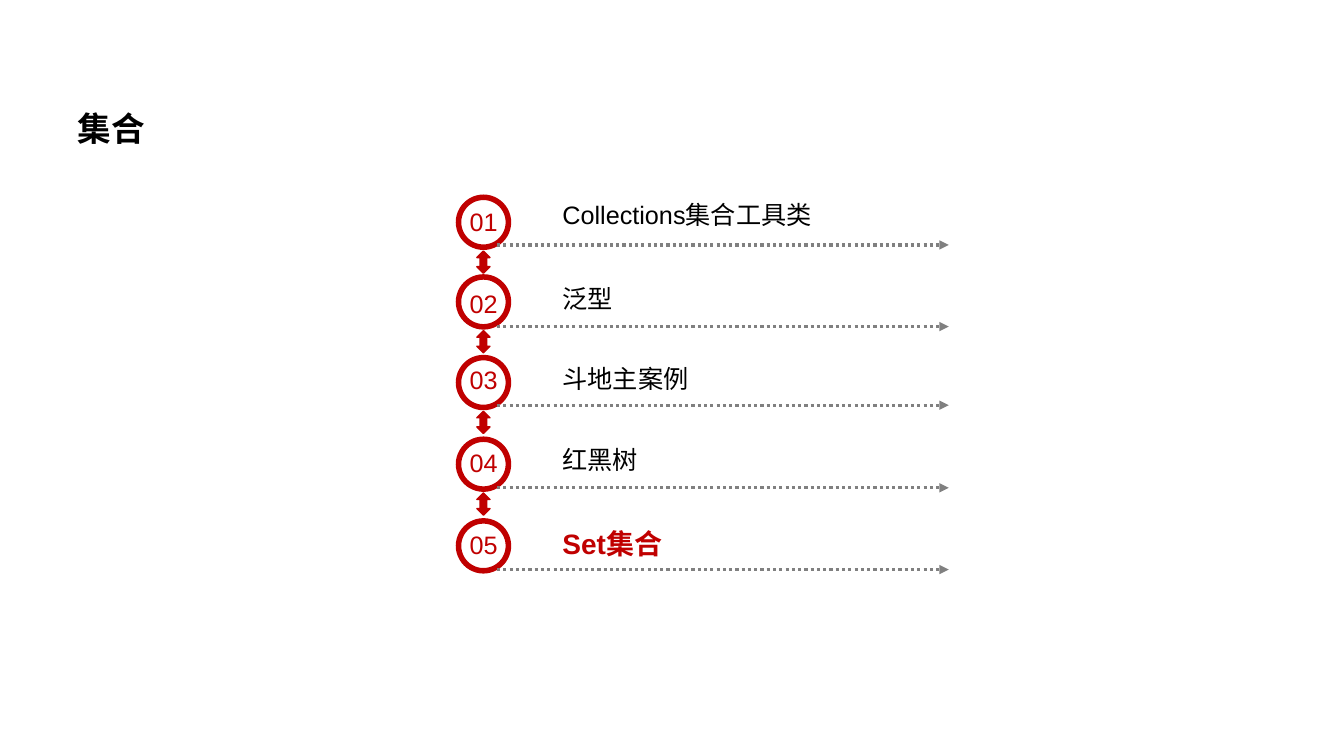
from pptx import Presentation
from pptx.util import Inches, Pt
from pptx.dml.color import RGBColor
from pptx.enum import dml, shapes, text
from pptx.oxml.ns import qn
from lxml import etree

TITLE = "集合"
ROWS = [
    {"name": "Collections集合工具类", "ring": 1.93, "num": 2.0, "label": 1.93, "rule": 2.43},
    {"name": "泛型", "ring": 2.72, "num": 2.81, "label": 2.76, "rule": 3.24},
    {"name": "斗地主案例", "ring": 3.52, "num": 3.57, "label": 3.56, "rule": 4.02},
    {"name": "红黑树", "ring": 4.33, "num": 4.39, "label": 4.36, "rule": 4.84},
    {"name": "Set集合", "ring": 5.14, "num": 5.2, "label": 5.17, "rule": 5.65},
]
HEX = {"red": "C00000", "gray": "808080", "black": "000000"}
RING = 0.55
GAP = 0.01


def color(name):
    return RGBColor.from_string(HEX[name])


def write(shape, words, size=18, tone="black", bold=False, wrap=True, space=None):
    frame = shape.text_frame
    frame.word_wrap = wrap
    frame.auto_size = text.MSO_AUTO_SIZE.NONE
    frame.vertical_anchor = text.MSO_ANCHOR.TOP
    para = frame.paragraphs[0]
    para.alignment = text.PP_ALIGN.LEFT
    if space:
        para.line_spacing = space
    run = para.add_run()
    run.text = words
    run.font.name = "Arial"
    run.font.size = Pt(size)
    run.font.bold = bold
    run.font.color.rgb = color(tone)


def box(slide, left, top, width, height):
    return slide.shapes.add_textbox(*map(Inches, (left, top, width, height)))


def solid(slide, kind, left, top, width, height):
    shape = slide.shapes.add_shape(kind, *map(Inches, (left, top, width, height)))
    shape.shadow.inherit = False
    shape.fill.solid()
    shape.fill.fore_color.rgb = color("red")
    return shape


def ring(slide, top):
    shape = solid(slide, shapes.MSO_SHAPE.DONUT, 4.52, top, RING, RING)
    shape.adjustments[0] = 0.1
    shape.line.fill.background()


def link(slide, top):
    shape = solid(slide, shapes.MSO_SHAPE.UP_DOWN_ARROW, 4.73, top, 0.13, 0.22)
    shape.line.color.rgb = color("red")
    shape.line.width = Pt(1)


def rule(slide, y):
    line = slide.shapes.add_connector(
        shapes.MSO_CONNECTOR.STRAIGHT, *map(Inches, (4.93, y, 9.41, y)))
    line.line.color.rgb = color("gray")
    line.line.width = Pt(2.25)
    line.line.dash_style = dml.MSO_LINE.ROUND_DOT
    props = line._element.spPr
    etree.SubElement(props.find(qn("a:ln")), qn("a:tailEnd"), type="triangle")
    etree.SubElement(props, qn("a:effectLst"))


def main():
    deck = Presentation()
    deck.slide_width, deck.slide_height = Inches(13.33), Inches(7.5)
    slide = deck.slides.add_slide(deck.slide_layouts[5])

    title = slide.shapes.title
    title.left, title.top = Inches(0.67), Inches(0.82)
    title.width, title.height = Inches(11.74), Inches(1.11)
    write(title, TITLE, size=24, bold=True, space=1.5)

    for i, row in enumerate(ROWS, 1):
        last = i == len(ROWS)
        ring(slide, row["ring"])
        write(box(slide, 4.56, row["num"], 0.48, 0.4), f"{i:02d}", tone="red", wrap=False)
        write(box(slide, 5.48, row["label"], 3.96, 0.44 if last else 0.4), row["name"],
              size=20 if last else 18, tone="red" if last else "black", bold=last)
        rule(slide, row["rule"])
        if not last:
            link(slide, row["ring"] + RING + GAP)

    deck.save("out.pptx")


if __name__ == "__main__":
    main()
